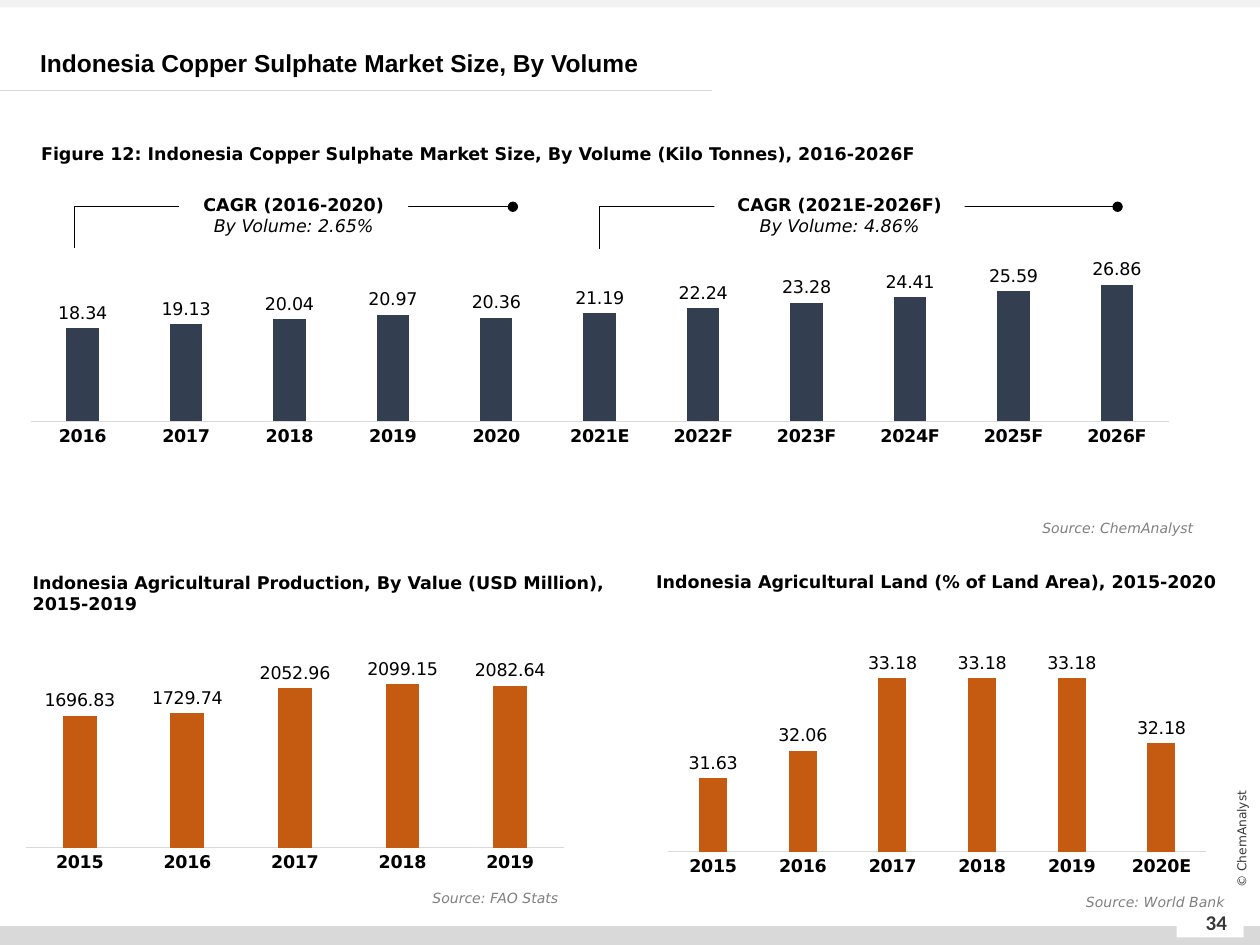
from dataclasses import dataclass

from lxml import etree
from pptx import Presentation
from pptx import util as u
from pptx.chart import data as chart_data
from pptx.dml import color
from pptx.enum import chart as charts, shapes, text
from pptx.oxml import ns, parse_xml

Cm, Pt = u.Cm, u.Pt
ALIGN, ANCHOR = text.PP_ALIGN, text.MSO_ANCHOR


@dataclass(frozen=True)
class Theme:
    black: str = "000000"
    white: str = "FFFFFF"
    dark: str = "3B3838"
    muted: str = "808080"
    rule: str = "D9D9D9"
    pale: str = "F2F2F2"
    navy: str = "333F50"
    orange: str = "C55A11"
    body_font: str = "DejaVu Sans"
    title_font: str = "Arial"
    number_font: str = "Calibri"
    title: int = 14
    number: int = 12
    body: int = 10
    source: int = 8
    copyright: int = 7


THEME = Theme()


def rgb(value):
    return color.RGBColor.from_string(value)


def style_font(font, size=THEME.body, name=THEME.body_font, ink=THEME.black,
               bold=False, italic=False):
    font.size, font.name = Pt(size), name
    font.bold, font.italic = bold, italic
    font.color.rgb = rgb(ink)


def write_para(para, words, align=ALIGN.LEFT, spacing=None, **font):
    para.alignment = align
    if spacing:
        para.line_spacing = spacing
    span = para.add_run()
    span.text = words
    style_font(span.font, **font)


def add_text(page, box, words, anchor=ANCHOR.TOP, grow=True, rotation=0, **style):
    label = page.shapes.add_textbox(*map(Cm, box))
    label.rotation = rotation
    frame = label.text_frame
    frame.word_wrap = True
    frame.vertical_anchor = anchor
    if grow:
        frame.auto_size = text.MSO_AUTO_SIZE.SHAPE_TO_FIT_TEXT
    write_para(frame.paragraphs[0], words, **style)


def add_block(page, box, fill):
    block = page.shapes.add_shape(shapes.MSO_SHAPE.RECTANGLE, *map(Cm, box))
    block.shadow.inherit = False
    block.fill.solid()
    block.fill.fore_color.rgb = rgb(fill)
    block.line.fill.background()
    return block


def add_line(page, kind, start, end, ink):
    line = page.shapes.add_connector(kind, *map(Cm, (*start, *end)))
    line.line.color.rgb = rgb(ink)
    line.line.width = Pt(0.5)
    etree.SubElement(line._element.spPr, ns.qn("a:effectLst"))
    return line


def add_source(page, right, top, words):
    width = 6.5
    add_text(page, (right - width, top, width, 0.61), words, align=ALIGN.RIGHT,
             size=THEME.source, ink=THEME.muted, italic=True)


def set_plot_area(chart, top, height):
    """Fix the inner plot area as fractions of the chart, at full width."""
    values = {"x": 0, "y": top, "w": 1, "h": height}
    sizes = "".join(f'<c:{key} val="{value}"/>' for key, value in values.items())
    layout = parse_xml(
        f'<c:layout {ns.nsdecls("c")}><c:manualLayout><c:layoutTarget val="inner"/>'
        f'<c:xMode val="edge"/><c:yMode val="edge"/>{sizes}</c:manualLayout></c:layout>')
    plot_area = chart._chartSpace.chart.plotArea
    for old in plot_area.findall(ns.qn("c:layout")):
        plot_area.remove(old)
    plot_area.insert(0, layout)


def add_columns(page, box, points, fill, scale, plot_height, label_format="0.00"):
    data = chart_data.CategoryChartData(number_format=label_format)
    data.categories = list(points)
    data.add_series("Series 1", list(points.values()))
    chart = page.shapes.add_chart(
        charts.XL_CHART_TYPE.COLUMN_CLUSTERED, *map(Cm, box), data).chart
    chart.has_legend = chart.has_title = False
    style_font(chart.font)
    set_plot_area(chart, 0.16, plot_height)

    # Axes
    values, years = chart.value_axis, chart.category_axis
    values.minimum_scale, values.maximum_scale = scale
    values.has_major_gridlines = False
    values.visible = False
    years.major_tick_mark = years.minor_tick_mark = charts.XL_TICK_MARK.NONE
    years.format.line.color.rgb = rgb(THEME.rule)
    years.format.line.width = Pt(0.75)
    style_font(years.tick_labels.font, bold=True)

    # Columns and their labels
    plot = chart.plots[0]
    plot.gap_width, plot.overlap = 219, -27
    plot.vary_by_categories = False
    plot.series[0].format.fill.solid()
    plot.series[0].format.fill.fore_color.rgb = rgb(fill)
    labels = plot.series[0].data_labels
    labels.show_value = True
    labels.position = charts.XL_LABEL_POSITION.OUTSIDE_END
    labels.number_format, labels.number_format_is_linked = label_format, False
    style_font(labels.font)


def add_growth_bracket(page, box, label_left, label_width, period, rate):
    """Bracket rising from the box's lower left to a dot at its upper right."""
    left, top, width, height = box
    bracket = add_line(page, shapes.MSO_CONNECTOR.ELBOW, (left, top + height),
                       (left + width, top), THEME.black)
    guides = bracket._element.spPr.prstGeom.get_or_add_avLst()
    etree.SubElement(guides, ns.qn("a:gd"), name="adj1", fmla="val 0")
    etree.SubElement(bracket.line._get_or_add_ln(), ns.qn("a:tailEnd"), type="oval")

    label = add_block(page, (left + label_left, top - 0.56, label_width, 1.45), THEME.white)
    frame = label.text_frame
    frame.word_wrap = True
    frame.vertical_anchor = ANCHOR.MIDDLE
    write_para(frame.paragraphs[0], f"CAGR ({period})", align=ALIGN.CENTER, bold=True)
    write_para(frame.add_paragraph(), f"By Volume: {rate}", align=ALIGN.CENTER, italic=True)


def add_page_frame(page, width, height):
    # Bands, page number patch and title rule
    add_block(page, (0, height - 0.38, width, 0.38), THEME.rule)
    add_block(page, (0, 0, width, 0.15), THEME.pale)
    add_block(page, (width - 1.68, height - 0.71, 1.35, 0.56), THEME.white)
    add_line(page, shapes.MSO_CONNECTOR.STRAIGHT, (0, 1.83), (14.35, 1.83), THEME.rule)
    # Page number, copyright and title
    add_text(page, (width - 1.5, height - 0.97, 1.24, 1.02), "34", anchor=ANCHOR.MIDDLE,
             grow=False, align=ALIGN.CENTER, size=THEME.number, name=THEME.number_font,
             ink=THEME.dark, bold=True)
    add_text(page, (width - 1.9, height - 2.34, 3.05, 0.41), "© ChemAnalyst",
             anchor=ANCHOR.MIDDLE, grow=False, rotation=270, align=ALIGN.CENTER,
             size=THEME.copyright, ink=THEME.dark)
    add_text(page, (0.56, 0.86, 24.79, 0.81), "Indonesia Copper Sulphate Market Size, By Volume",
             anchor=ANCHOR.MIDDLE, spacing=Pt(17), size=THEME.title,
             name=THEME.title_font, bold=True)


def add_market_panel(page, box):
    left, top, width, height = box
    volumes = {"2016": 18.34, "2017": 19.13, "2018": 20.04, "2019": 20.97,
               "2020": 20.36, "2021E": 21.19, "2022F": 22.24, "2023F": 23.28,
               "2024F": 24.41, "2025F": 25.59, "2026F": 26.86}
    add_columns(page, box, volumes, THEME.navy, (0, 30), 0.584)
    add_growth_bracket(page, (left + 11.48, top - 0.4, 10.44, 0.86), 2.31, 5.05,
                       "2021E-2026F", "4.86%")
    add_growth_bracket(page, (left + 0.89, top - 0.4, 8.84, 0.84), 2.11, 4.62,
                       "2016-2020", "2.65%")
    add_text(page, (left - 0.03, top - 2.03, 22.4, 0.81),
             "Figure 12: Indonesia Copper Sulphate Market Size, By Volume (Kilo Tonnes), "
             "2016-2026F", spacing=1.5, bold=True)
    add_source(page, left + width + 0.74, top + height + 0.49, "Source: ChemAnalyst")


def add_indicator_panel(page, box, title, title_shift, source, source_overhang, **columns):
    left, top, width, height = box
    add_columns(page, box, fill=THEME.orange, plot_height=0.712, **columns)
    add_text(page, (left - title_shift[0], top - title_shift[1], 12.73, 0.69), title, bold=True)
    add_source(page, left + width + source_overhang, top + height, source)


def main():
    deck = Presentation()
    deck.slide_width, deck.slide_height = Cm(25.4), Cm(19.05)
    page = deck.slides.add_slide(deck.slide_layouts[6])
    add_page_frame(page, 25.4, 19.05)
    add_market_panel(page, (0.61, 4.57, 22.96, 5.28))
    add_indicator_panel(
        page, (0.51, 12.29, 10.87, 5.51),
        "Indonesia Agricultural Production, By Value (USD Million), 2015-2019", (0.1, 0.89),
        "Source: FAO Stats", 0.13, scale=(0, 2500), label_format="General",
        points={"2015": 1696.83, "2016": 1729.74, "2017": 2052.96, "2018": 2099.15,
                "2019": 2082.64})
    add_indicator_panel(
        page, (13.46, 12.37, 10.87, 5.51),
        "Indonesia Agricultural Land (% of Land Area), 2015-2020", (0.48, 0.99),
        "Source: World Bank", 0.61, scale=(30.5, 33.5),
        points={"2015": 31.63, "2016": 32.06, "2017": 33.18, "2018": 33.18,
                "2019": 33.18, "2020E": 32.18})
    deck.save("out.pptx")


if __name__ == "__main__":
    main()
